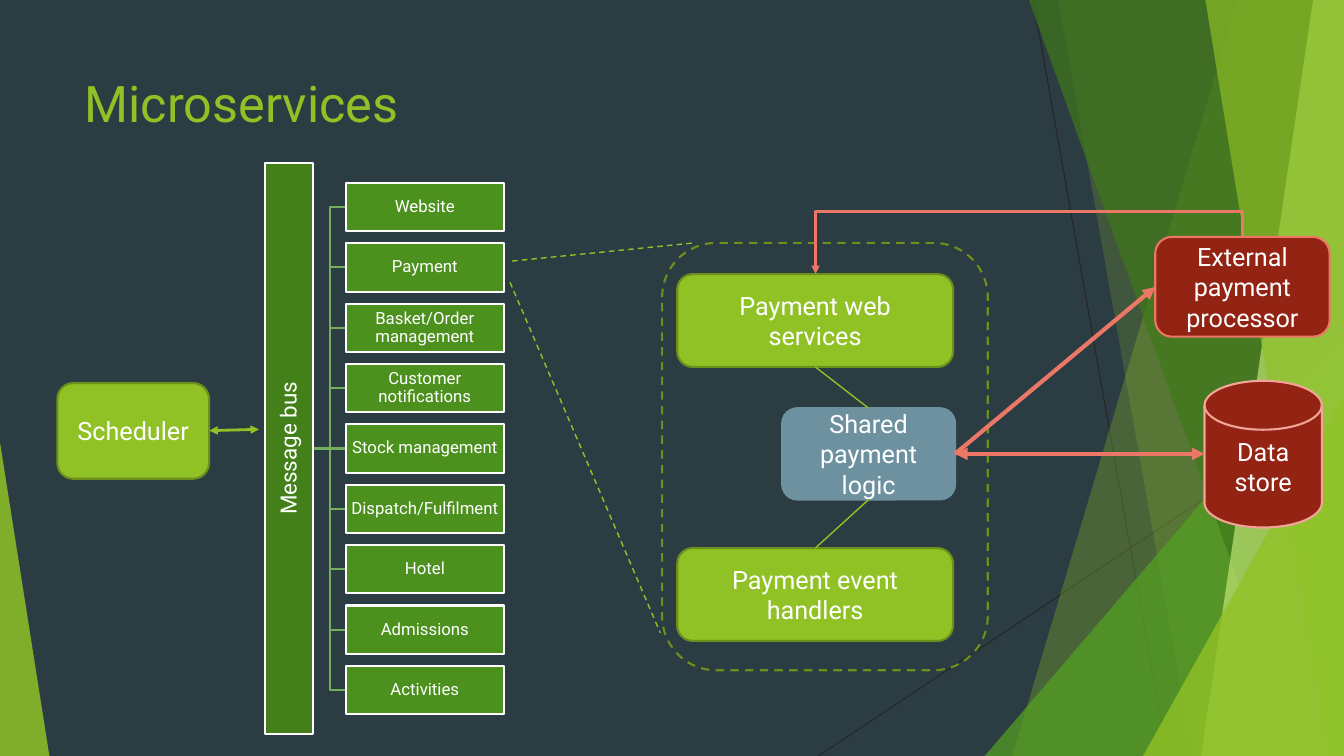
from pptx import Presentation
from pptx.dml.color import RGBColor
from pptx.enum.dml import MSO_LINE
from pptx.enum.shapes import MSO_CONNECTOR as LINK, MSO_SHAPE as SHAPE
from pptx.enum.text import MSO_ANCHOR, MSO_AUTO_SIZE, PP_ALIGN
from pptx.oxml.ns import qn
from pptx.util import Pt
from lxml.etree import SubElement

SLATE = RGBColor(0x2C, 0x3C, 0x43)
BLACK = RGBColor(0x26, 0x26, 0x26)
WHITE = RGBColor(0xFF, 0xFF, 0xFF)
LIME = RGBColor(0x90, 0xC2, 0x26)
PALE_LIME = RGBColor(0xC0, 0xE4, 0x74)
OLIVE = RGBColor(0x6B, 0x90, 0x1C)
LEAF = RGBColor(0x54, 0xA0, 0x21)
FOREST = RGBColor(0x3F, 0x78, 0x19)
BUS_GREEN = RGBColor(0x43, 0x80, 0x1A)
SERVICE_GREEN = RGBColor(0x4C, 0x91, 0x1E)
BRANCH_GREEN = RGBColor(0x76, 0xAD, 0x61)
STEEL = RGBColor(0x6E, 0x91, 0xA0)
BRICK = RGBColor(0x93, 0x23, 0x13)
CORAL = RGBColor(0xEB, 0x77, 0x66)
PINK = RGBColor(0xF2, 0xA4, 0x99)
FONT = "Roboto"
WIDTH, HEIGHT = 960, 540

prs = Presentation()
prs.slide_width, prs.slide_height = Pt(WIDTH), Pt(HEIGHT)
slide = prs.slides.add_slide(prs.slide_layouts[5])
slide.background.fill.solid()
slide.background.fill.fore_color.rgb = SLATE
shapes = slide.shapes


def add_box(kind, left, top, width, height, fill, line, text="", size=18, inset=7.2, spacing=1.0):
    box = shapes.add_shape(kind, Pt(left), Pt(top), Pt(width), Pt(height))
    box.shadow.inherit = False
    if fill is None:
        box.fill.background()
    else:
        box.fill.solid()
        box.fill.fore_color.rgb = fill
    box.line.color.rgb = line
    box.line.width = Pt(1.5)
    if text:
        frame = box.text_frame
        frame.word_wrap = True
        frame.vertical_anchor = MSO_ANCHOR.MIDDLE
        frame.margin_left = frame.margin_right = Pt(inset)
        frame.margin_top = frame.margin_bottom = Pt(min(inset, 3.6))
        paragraph = frame.paragraphs[0]
        paragraph.alignment = PP_ALIGN.CENTER
        paragraph.line_spacing = spacing
        run = paragraph.add_run()
        run.text = text
        run.font.name, run.font.size = FONT, Pt(size)
        run.font.color.rgb = WHITE
    return box


def add_link(start, end, colour, weight, arrows=(), dash=None, kind=LINK.STRAIGHT):
    link = shapes.add_connector(kind, *map(Pt, start + end))
    link.line.color.rgb = colour
    link.line.width = Pt(weight)
    if dash:
        link.line.dash_style = dash
    properties = link._element.spPr
    for arrow in arrows:
        SubElement(properties.find(qn("a:ln")), qn(f"a:{arrow}"), type="triangle")
    SubElement(properties, qn("a:effectLst"))
    return link


# Backdrop lines and translucent facets; bands reach the right edge
add_link((738, 0), (833.8, HEIGHT), BLACK, 0.75)
add_link((WIDTH, 290), (584.6, HEIGHT), BLACK, 0.75)
facets = [
    # band: top x, bottom x; corner: left, top, right, apex position
    ("band", (884, 723), LIME, 30),
    ("band", (756, 852), LIME, 20),
    ("corner", (703.4, 240, WIDTH, 1), LEAF, 72),
    ("band", (735, 929.5), FOREST, 70),
    ("band", (938, 858), PALE_LIME, 70),
    ("band", (861, 949), LIME, 65),
    ("corner", (816.5, 283, WIDTH, 1), LIME, 80),
    ("corner", (0, 316, 35.3, 0), LIME, 85),
]
for form, extent, colour, opacity in facets:
    if form == "band":
        top_x, bottom_x = extent
        outline = shapes.build_freeform(Pt(top_x), Pt(0))
        outline.add_line_segments([(Pt(x), Pt(y)) for x, y in
                                   ((WIDTH, 0), (WIDTH, HEIGHT), (bottom_x, HEIGHT))])
        facet = outline.convert_to_shape()
    else:
        left, top, right, apex = extent
        facet = shapes.add_shape(SHAPE.ISOSCELES_TRIANGLE, Pt(left), Pt(top),
                                 Pt(right - left), Pt(HEIGHT - top))
        facet.adjustments[0] = apex
    facet.shadow.inherit = False
    facet.line.fill.background()
    facet.fill.solid()
    facet.fill.fore_color.rgb = colour
    tint = facet._element.spPr.find(qn("a:solidFill"))[0]
    SubElement(tint, qn("a:alpha"), val=str(opacity * 1000))

# Title
title = shapes.title
title.left, title.top, title.width, title.height = Pt(53.3), Pt(48), Pt(677), Pt(104)
title.text_frame.auto_size = MSO_AUTO_SIZE.NONE
title.text_frame.vertical_anchor = MSO_ANCHOR.TOP
heading = title.text_frame.paragraphs[0]
heading.alignment = PP_ALIGN.LEFT
heading_run = heading.add_run()
heading_run.text = "Microservices"
heading_run.font.name, heading_run.font.size = FONT, Pt(36)
heading_run.font.color.rgb = LIME

# Services branching off the message bus
services = ["Website", "Payment", "Basket/Order management", "Customer notifications",
            "Stock management", "Dispatch/Fulfilment", "Hotel", "Admissions", "Activities"]
bus_edge, branch_x, service_left = 224, 235.5, 247
bus_middle, service_pitch, service_height = 320.4, 43.12, 34.5
middles = [bus_middle + (i - len(services) // 2) * service_pitch for i in range(len(services))]
for middle in middles:
    outline = shapes.build_freeform(Pt(bus_edge), Pt(bus_middle))
    outline.add_line_segments([(Pt(x), Pt(y)) for x, y in
                               ((branch_x, bus_middle), (branch_x, middle), (service_left, middle))],
                              close=False)
    branch = outline.convert_to_shape()
    branch.shadow.inherit = False
    branch.fill.background()
    branch.line.color.rgb = BRANCH_GREEN
    branch.line.width = Pt(1.5)

bus = add_box(SHAPE.RECTANGLE, 2.9, 303.1, 407.5, service_height, BUS_GREEN, WHITE,
              "Message bus", 16, 0.7, 0.9)
bus.rotation = 270
for service, middle in zip(services, middles):
    add_box(SHAPE.RECTANGLE, service_left, middle - service_height / 2, 113, service_height,
            SERVICE_GREEN, WHITE, service, 12, 0.7, 0.9)

# Payment service in detail
add_link((365.8, 186.5), (496, 173.5), LIME, 1, dash=MSO_LINE.DASH)
add_link((364.3, 201.6), (471.6, 452), LIME, 1, dash=MSO_LINE.DASH)
payment_scope = add_box(SHAPE.ROUNDED_RECTANGLE, 473, 173.5, 232.6, 305.3, None, OLIVE)
payment_scope.line.dash_style = MSO_LINE.DASH
for left, top, width, height, fill, line, text in [
    (483.8, 195.8, 197, 66.3, LIME, OLIVE, "Payment web services"),
    (483.8, 391.5, 197, 66.3, LIME, OLIVE, "Payment event handlers"),
    (558.7, 291.6, 123.5, 65.2, STEEL, STEEL, "Shared payment logic"),
    (825.2, 169.2, 124.6, 71.3, BRICK, CORAL, "External payment processor"),
    (41, 273.6, 108.4, 68.4, LIME, OLIVE, "Scheduler"),
]:
    add_box(SHAPE.ROUNDED_RECTANGLE, left, top, width, height, fill, line, text)
add_box(SHAPE.FLOWCHART_MAGNETIC_DISK, 860.4, 272, 83.8, 104.8, BRICK, PINK, "Data store")

# Links between the parts
both_ends = ("headEnd", "tailEnd")
add_link((582.4, 262.1), (620.5, 291.6), LIME, 1)
add_link((582.4, 391.5), (620.5, 356.8), LIME, 1)
add_link((682.2, 324.2), (860.4, 324.2), CORAL, 3, both_ends)
add_link((682.2, 324.2), (825.2, 205), CORAL, 3, ["tailEnd"])
add_link((149.5, 307.6), (185, 306.7), LIME, 2, both_ends)

# Callback from the processor: drawn upright, then turned to run over the top
callback = add_link((748.4, 335), (721.8, 30), CORAL, 2, ["tailEnd"], kind=LINK.ELBOW)
callback_properties = callback._element.spPr
callback_properties.find(qn("a:xfrm")).set("rot", str(270 * 60000))
bend = callback_properties.find(qn("a:prstGeom")).find(qn("a:avLst"))
SubElement(bend, qn("a:gd"), name="adj1", fmla="val -68300")

prs.save("out.pptx")
